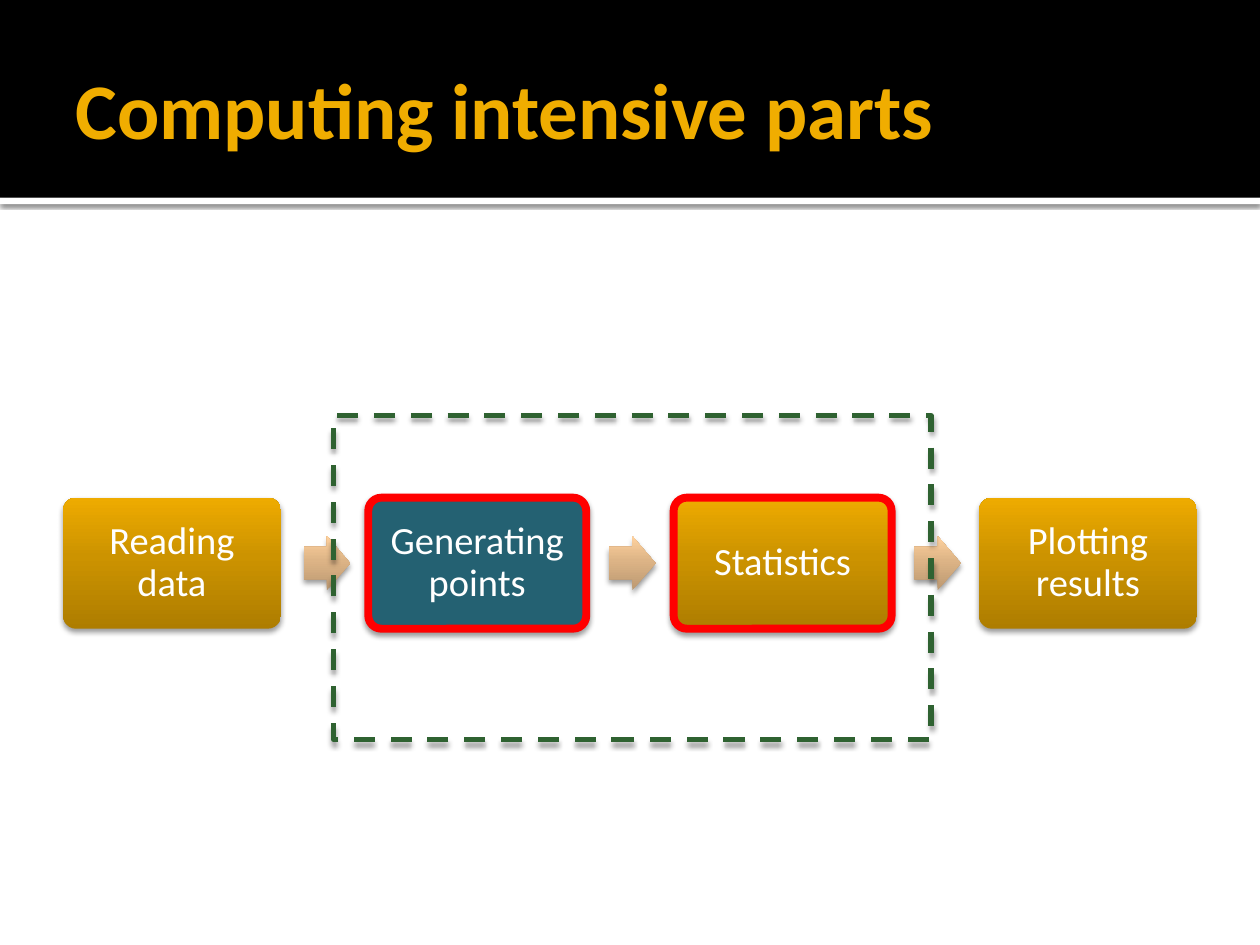
from lxml import etree
from pptx import Presentation
from pptx.dml.color import RGBColor
from pptx.enum.dml import MSO_LINE
from pptx.enum.shapes import MSO_SHAPE
from pptx.enum.text import MSO_ANCHOR, PP_ALIGN
from pptx.oxml.ns import qn
from pptx.util import Inches, Pt

RECTANGLE = MSO_SHAPE.RECTANGLE
ROUNDED = MSO_SHAPE.ROUNDED_RECTANGLE
ARROW = MSO_SHAPE.RIGHT_ARROW
MIDDLE = MSO_ANCHOR.MIDDLE
LEFT, CENTER = PP_ALIGN.LEFT, PP_ALIGN.CENTER
DASH = MSO_LINE.DASH

TITLE = "Computing intensive parts"
STEPS = [
    {"text": "Reading data", "fill": "gold", "outlined": False},
    {"text": "Generating points", "fill": "teal", "outlined": True},
    {"text": "Statistics", "fill": "gold", "outlined": True},
    {"text": "Plotting results", "fill": "gold", "outlined": False},
]

THEME = {
    "font": "Calibri",
    "title_size": 45,
    "step_size": 22,
    "title": "F0AD00",
    "black": "000000",
    "white": "FFFFFF",
    "teal": "246172",
    "red": "FF0000",
    "green": "2F6231",
    "gold": [(0, "AE7D00"), (55, "CC9300"), (100, "EEAB00")],
    "tan": [(0, "BC9972"), (55, "DDB486"), (100, "FFD29F")],
}
BAR_SHADOW = {"alpha": 60, "blur": 2.5, "distance": 0.8}
SOFT_SHADOW = {"alpha": 38, "blur": 3.1, "distance": 2}

HEADER_HEIGHT = 1.57
FLOW_LEFT, FLOW_RIGHT, FLOW_MIDDLE = 0.5, 9.5, 4.47
STEP_WIDTH, STEP_HEIGHT = 1.73, 1.04
ARROW_WIDTH, ARROW_HEIGHT = 0.37, 0.43
PITCH = (FLOW_RIGHT - FLOW_LEFT - STEP_WIDTH) / (len(STEPS) - 1)
ARROW_OFFSET = STEP_WIDTH + 0.18


def color(name):
    return RGBColor.from_string(THEME[name])


def set_fill(shape, name):
    if name is None:
        shape.fill.background()
    elif isinstance(THEME[name], str):
        shape.fill.solid()
        shape.fill.fore_color.rgb = color(name)
    else:
        shape.fill.gradient()
        shape.fill.gradient_angle = 90
        stops = next(shape.element.iter(qn("a:gsLst")))
        stops.clear()
        for position, value in THEME[name]:
            stop = etree.SubElement(stops, qn("a:gs"), pos=str(position * 1000))
            etree.SubElement(stop, qn("a:srgbClr"), val=value)


def set_shadow(shape, shadow):
    shape.shadow.inherit = False
    if shadow is None:
        return
    effects = next(shape.element.iter(qn("a:effectLst")))
    outer = etree.SubElement(
        effects, qn("a:outerShdw"), blurRad=str(Pt(shadow["blur"])),
        dist=str(Pt(shadow["distance"])), dir="5400000", rotWithShape="0")
    shade = etree.SubElement(outer, qn("a:srgbClr"), val=THEME["black"])
    etree.SubElement(shade, qn("a:alpha"), val=str(shadow["alpha"] * 1000))


def add_shape(slide, kind, box, fill, line=None, width=0, shadow=None):
    shape = slide.shapes.add_shape(kind, *map(Inches, box))
    set_fill(shape, fill)
    if line:
        shape.line.color.rgb = color(line)
        shape.line.width = Pt(width)
    else:
        shape.line.fill.background()
    set_shadow(shape, shadow)
    return shape


def set_text(shape, text, size, name, alignment, margins, bold=False):
    frame = shape.text_frame
    frame.text = text
    frame.word_wrap = True
    frame.vertical_anchor = MIDDLE
    (frame.margin_left, frame.margin_top,
     frame.margin_right, frame.margin_bottom) = map(Inches, margins)
    paragraph = frame.paragraphs[0]
    paragraph.alignment = alignment
    font = paragraph.runs[0].font
    font.name, font.size, font.bold = THEME["font"], Pt(size), bold
    font.color.rgb = color(name)
    return paragraph


def add_header(slide):
    add_shape(slide, RECTANGLE, (0, HEADER_HEIGHT, 10, 0.05), "white", shadow=BAR_SHADOW)
    add_shape(slide, RECTANGLE, (0, 0, 10, HEADER_HEIGHT), "black")
    title = slide.shapes.title
    title.left, title.top, title.width, title.height = map(Inches, (0.5, 0.17, 9, 1.37))
    set_text(title, TITLE, THEME["title_size"], "title", LEFT,
             (0.1, 0.05, 0.05, 0.05), bold=True)
    title.element.getparent().append(title.element)


def add_flow(slide):
    for index, step in enumerate(STEPS):
        left = FLOW_LEFT + index * PITCH
        box = (left, FLOW_MIDDLE - STEP_HEIGHT / 2, STEP_WIDTH, STEP_HEIGHT)
        line = "red" if step["outlined"] else None
        shape = add_shape(slide, ROUNDED, box, step["fill"], line, 4.5, SOFT_SHADOW)
        shape.adjustments[0] = 0.1
        paragraph = set_text(shape, step["text"], THEME["step_size"], "white",
                             CENTER, (0.12,) * 4)
        paragraph.line_spacing = 0.9
        if index < len(STEPS) - 1:
            box = (left + ARROW_OFFSET, FLOW_MIDDLE - ARROW_HEIGHT / 2,
                   ARROW_WIDTH, ARROW_HEIGHT)
            arrow = add_shape(slide, ARROW, box, "tan", shadow=SOFT_SHADOW)
            arrow.adjustments[0] = 0.6
            arrow.adjustments[1] = 0.5


def add_intensive_frame(slide):
    frame = add_shape(slide, RECTANGLE, (2.65, 3.3, 4.74, 2.57), None,
                      "green", 3, SOFT_SHADOW)
    frame.line.dash_style = DASH


def main():
    presentation = Presentation()
    presentation.slide_width, presentation.slide_height = Inches(10), Inches(7.5)
    slide = presentation.slides.add_slide(presentation.slide_layouts[5])
    add_header(slide)
    add_flow(slide)
    add_intensive_frame(slide)
    presentation.save("out.pptx")


if __name__ == "__main__":
    main()
